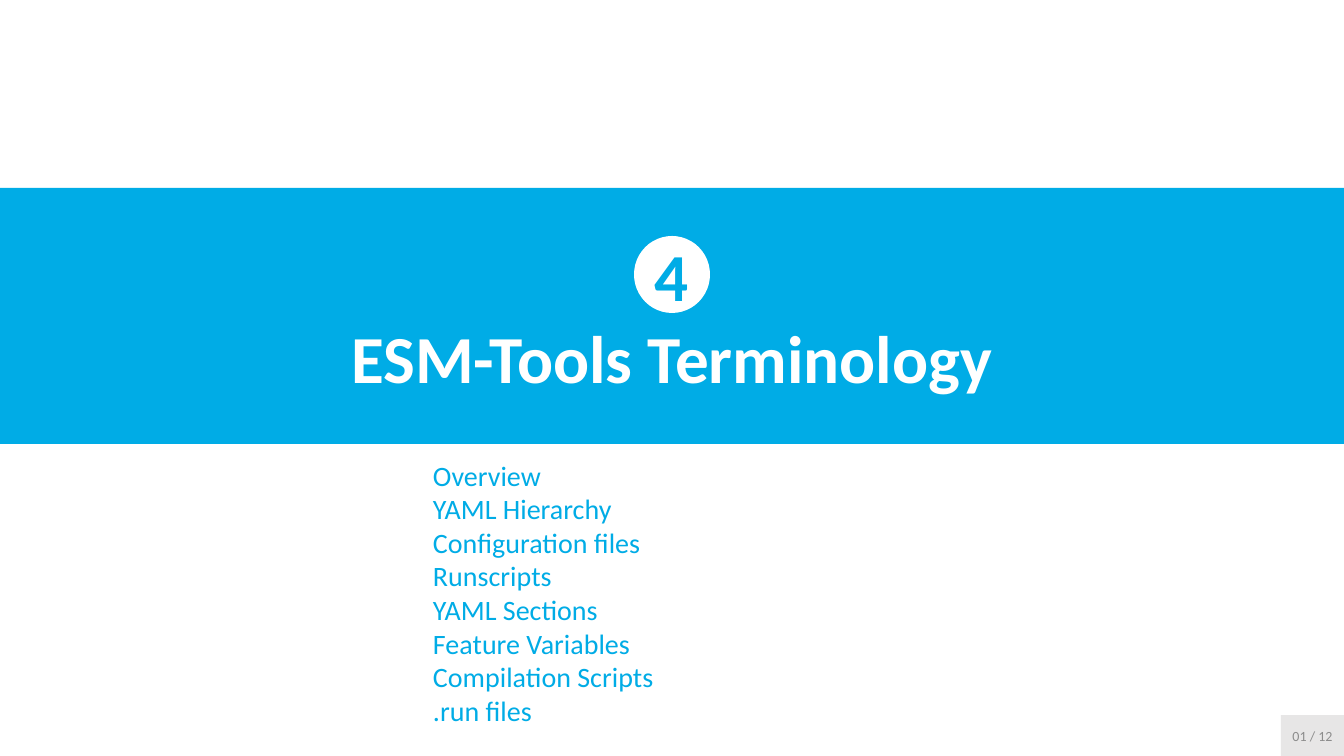
"""Build the section slide for ESM-Tools Terminology with its list of topics."""
from pptx import Presentation
from pptx.dml.color import RGBColor
from pptx.enum.shapes import MSO_SHAPE as Shape
from pptx.enum.text import MSO_ANCHOR as Anchor, MSO_AUTO_SIZE as AutoSize, PP_ALIGN as Align
from pptx.util import Pt
from lxml.etree import SubElement
from pptx.oxml.ns import qn

PX = 914400 / 100.8
BLUE, WHITE, GREY, DARK_GREY = "00ACE6", "FFFFFF", "E7E6E6", "8C8C8C"


def place(part, left, top, width, height, fill=None):
    part.left, part.top, part.width, part.height = (
        round(v * PX) for v in (left, top, width, height))
    if fill:
        part.fill.solid()
        part.fill.fore_color.rgb = RGBColor.from_string(fill)
        part.line.fill.background()


def write(part, lines, size, color, bold=False, align=Align.CENTER,
          anchor=Anchor.MIDDLE, inset=(10, 5), wrap=True):
    frame = part.text_frame
    frame.text = "\n".join(lines)
    frame.auto_size, frame.word_wrap = AutoSize.NONE, wrap
    frame.vertical_anchor = anchor
    frame.margin_left = frame.margin_right = round(inset[0] * PX)
    frame.margin_top = frame.margin_bottom = round(inset[1] * PX)
    for paragraph in frame.paragraphs:
        paragraph.alignment = align
        paragraph.space_before = paragraph.space_after = Pt(0)
        paragraph.line_spacing = 1.0
        font = paragraph.runs[0].font
        font.name, font.size, font.bold = "Calibri", Pt(size), bold
        font.color.rgb = RGBColor.from_string(color)


prs = Presentation()
prs.slide_width, prs.slide_height = round(1344 * PX), round(756 * PX)
slide = prs.slides.add_slide(prs.slide_layouts[1])

heading = slide.shapes.title
place(heading, 0, 188, 1344, 256, BLUE)
write(heading, ["ESM-Tools Terminology"], 48, WHITE, bold=True)
heading.text_frame.margin_top = round(87 * PX)

topics = slide.placeholders[1]
place(topics, 423, 453, 487, 281)
write(topics, ["Overview", "YAML Hierarchy", "Configuration files", "Runscripts",
               "YAML Sections", "Feature Variables", "Compilation Scripts", ".run files"],
      20, BLUE, align=Align.JUSTIFY, anchor=Anchor.TOP)
for topic in topics.text_frame.paragraphs:
    properties = topic._p.get_or_add_pPr()
    properties.set("marL", "0")
    properties.set("indent", "0")
    SubElement(properties, qn("a:buNone"))

for outline, box, fill, label, size, color, bold in (
    (Shape.OVAL, (634, 236, 76, 77), WHITE, "4", 48, BLUE, True),
    (Shape.RECTANGLE, (1281, 715, 63, 41), GREY, "01 / 12", 10, DARK_GREY, False),
):
    badge = slide.shapes.add_shape(outline, 0, 0, 0, 0)
    badge.shadow.inherit = False
    place(badge, *box, fill)
    write(badge, [label], size, color, bold=bold, inset=(0, 0), wrap=False)

prs.save("out.pptx")
